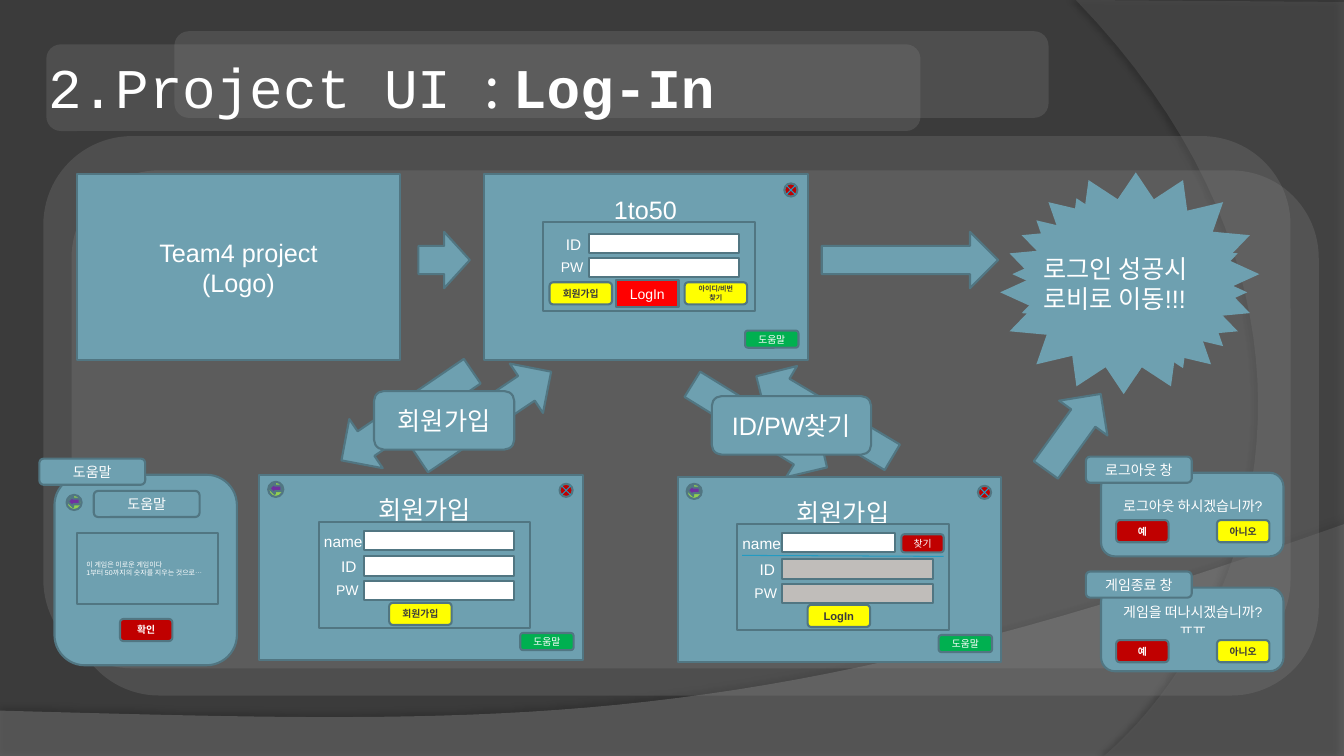
import pptx
import pptx.util
import pptx.oxml
import pptx.oxml.ns
from pptx.dml.color import RGBColor
from pptx.enum.shapes import MSO_SHAPE as KIND, MSO_CONNECTOR
from pptx.enum.text import PP_ALIGN, MSO_ANCHOR, MSO_AUTO_SIZE
from pptx.util import Inches

THEME = {
    "back": "3B3B3B", "blue": "6EA0B0", "edge": "517682", "cross": "239BC2",
    "white": "FFFFFF", "dark": "3B3B3B", "yellow": "FFFF00", "green": "00B050",
    "wine": "C00000", "red": "FF0000", "gray": "C0BDBA", "lime": "92D050",
    "plum": "7030A0", "glass": "898989", "hill": "7F7F7F", "curve": "5E5E5E",
    "font": "Arial", "mono": "Courier New", "asian": "Noto Sans CJK KR",
    "title": 40, "head": 18, "label": 11, "body": 10, "login": 8, "small": 7, "tiny": 5,
}

# Background sweeps: start, then line ends (2 values) or Bezier curves (6 values)
SWEEPS = [
    ("hill", 45, (3.5, 270, 35),
     [(0, 7.05), (0, 7.51), (13.33, 7.51), (13.33, 5.2), (7.45, 7.29, 5.21, 7.19, 0, 7.05)]),
    ("curve", 40, (4, 180, 45),
     [(13.33, 0.02), (13.33, 7.5), (10.95, 7.5), (12.46, 6.19, 13.57, 3, 10.67, 0)]),
]
PANES = [(1.73, 0.31, 8.67, 0.86), (0.46, 0.44, 8.67, 0.86),
         (0.43, 1.35, 12.37, 5.28), (0.71, 1.69, 12.37, 5.21)]
TITLE = [("2.Project UI ", "mono", False), (": ", "asian", False), ("Log-In", "mono", True)]

# Label: left, width, type size, all from the window's left edge
LABELS = {"name": (0.54, 0.59, "label"), "ID": (0.71, 0.36, "label"), "PW": (0.66, 0.43, "body")}
# Button: left, top, width, height, fill, text, size, text colour, bold
JOIN = (1.29, 1.27, 0.62, 0.22, "yellow")
WINDOWS = [
    {"at": (4.8, 1.73), "title": "1to50", "mid": 1.6, "deep": 0.89, "help": 1.55, "back": False,
     "fields": [("ID", 0.59, 1.49, "white"), ("PW", 0.83, 1.49, "white")],
     "keys": [(0.65, 1.07, 0.62, 0.22, "yellow", "회원가입", "small", "dark", True),
              (1.99, 1.07, 0.62, 0.22, "yellow", "아이디/비번 찾기", "tiny", "dark", True)]},
    {"at": (2.57, 4.71), "title": "회원가입", "mid": 1.64, "deep": 1.05, "help": 1.57, "back": True,
     "fields": [("name", 0.56, 1.49, "white"), ("ID", 0.81, 1.49, "white"),
                ("PW", 1.05, 1.49, "white")],
     "keys": [JOIN + ("회원가입", "small", "dark", True)]},
    {"at": (6.72, 4.73), "title": "회원가입", "mid": 1.64, "deep": 1.05, "help": 1.57, "back": True,
     "fields": [("name", 0.56, 1.12, "white"), ("ID", 0.82, 1.49, "gray"),
                ("PW", 1.06, 1.49, "gray")],
     "keys": [JOIN + ("LogIn", "login", "dark", True),
              (2.22, 0.57, 0.42, 0.18, "wine", "찾기", "small", "white", False)]},
]
# Turned arrows: left, top, height, angle
TURNS = [(3.74, 3.34, 1.57, 55.7), (4.52, 3.34, 1.57, 236.1), (7.24, 3.44, 1.57, 301.7),
         (7.88, 3.35, 1.57, 120.8), (10.35, 3.82, 0.93, 215.8)]
STEPS = [(3.71, 3.88, 1.39, "회원가입"), (7.06, 3.93, 1.58, "ID/PW찾기")]
ASKS = [(4.69, "로그아웃 창", "로그아웃 하시겠습니까?", 0.47),
        (5.83, "게임종료 창", "게임을 떠나시겠습니까?ㅠㅠ", 0.52)]
HELP = ["이 게임은 이로운 게임이다", "1부터 50까지의 숫자를 지우는 것으로…"]
GOAL = ["로그인 성공시", "로비로 이동!!!"]

deck = pptx.Presentation()
deck.slide_width, deck.slide_height = Inches(13.33), Inches(7.5)
slide = deck.slides.add_slide(deck.slide_layouts[6])
shapes = slide.shapes


def tint(name):
    """Give a theme colour as RGB."""
    return RGBColor.from_string(THEME[name])


def apply(thing, form):
    """Set each attribute named in a dict."""
    for key, value in form.items():
        setattr(thing, key, value)


def add_run(para, text, size, color="white", bold=False, font="font"):
    """Add one run of styled text."""
    run = para.add_run()
    run.text = text
    apply(run.font, {"size": pptx.util.Pt(THEME[size]), "bold": bold, "name": THEME[font]})
    run.font.color.rgb = tint(color)
    asian = run.font._element.makeelement(pptx.oxml.ns.qn("a:ea"), {"typeface": THEME["asian"]})
    run.font._element.append(asian)


def write(shape, lines, size, color="white", bold=False, align=PP_ALIGN.CENTER):
    """Fill a shape with one paragraph per line."""
    frame = shape.text_frame
    for num, line in enumerate(lines):
        para = frame.add_paragraph() if num else frame.paragraphs[0]
        para.alignment = align
        add_run(para, line, size, color, bold)


def paint(shape, fill, alpha=None, edge=True):
    """Set fill, outline and opacity."""
    shape.shadow.inherit = False
    shape.fill.solid()
    shape.fill.fore_color.rgb = tint(fill)
    if alpha:
        node = shape._element.spPr.find(".//" + pptx.oxml.ns.qn("a:srgbClr"))
        node.append(node.makeelement(pptx.oxml.ns.qn("a:alpha"), {"val": str(alpha * 1000)}))
    if edge:
        shape.line.color.rgb = tint("edge")
        shape.line.width = pptx.util.Pt(1.5)
    else:
        shape.line.fill.background()


def box(kind, x, y, w, h, fill="blue", text=None, size="body", color="white", bold=False,
        alpha=None, edge=True, align=PP_ALIGN.CENTER):
    """Draw a preset shape, with text if given."""
    shape = shapes.add_shape(kind, *map(Inches, (x, y, w, h)))
    paint(shape, fill, alpha, edge)
    if text:
        lines = [text] if isinstance(text, str) else text
        write(shape, lines, size, color, bold, align)
    return shape


def note(x, y, w, h, lines, size, align=PP_ALIGN.CENTER):
    """Draw a text box that does not wrap."""
    shape = shapes.add_textbox(*map(Inches, (x, y, w, h)))
    apply(shape.text_frame, {"word_wrap": False, "auto_size": MSO_AUTO_SIZE.SHAPE_TO_FIT_TEXT})
    write(shape, lines, size, align=align)


def line(*ends):
    """Draw a thin straight line."""
    link = shapes.add_connector(MSO_CONNECTOR.STRAIGHT, *map(Inches, ends))
    link.line.color.rgb = tint("cross")
    link.line.width = pptx.util.Pt(0.75)
    spot = link._element.spPr
    spot.append(spot.makeelement(pptx.oxml.ns.qn("a:effectLst"), {}))


def sweep(fill, alpha, shade, steps, parts=40):
    """Draw a curved background shape with a soft shadow."""
    spots = [steps[0]]
    for step in steps[1:]:
        if len(step) == 2:
            spots.append(step)
            continue
        hooks = [spots[-1], step[:2], step[2:4], step[4:]]
        for num in range(1, parts + 1):
            t = num / parts
            mix = ((1 - t) ** 3, 3 * t * (1 - t) ** 2, 3 * t * t * (1 - t), t ** 3)
            spots.append(tuple(sum(m * p[k] for m, p in zip(mix, hooks)) for k in (0, 1)))
    spots = [(Inches(x), Inches(y)) for x, y in spots]
    form = shapes.build_freeform(*spots[0])
    form.add_line_segments(spots[1:], close=True)
    shape = form.convert_to_shape()
    paint(shape, fill, alpha, edge=False)
    gap, turn, dense = shade
    glow = pptx.oxml.parse_xml(
        f'<a:outerShdw {pptx.oxml.ns.nsdecls("a")} blurRad="50800" dist="{int(gap * 12700)}" '
        f'dir="{turn * 60000}" rotWithShape="0"><a:srgbClr val="000000">'
        f'<a:alpha val="{dense * 1000}"/></a:srgbClr></a:outerShdw>')
    shape._element.spPr.find(pptx.oxml.ns.qn("a:effectLst")).append(glow)


def back_icon(x, y):
    """Draw the round back button."""
    box(KIND.OVAL, x, y, 0.15, 0.15, "lime")
    box(KIND.LEFT_ARROW, x + 0.01, y + 0.01, 0.12, 0.11, "plum")


def window(at, title, mid, deep, help, back, fields, keys):
    """Draw one form window."""
    x, y = at
    box(KIND.RECTANGLE, x, y, 3.21, 1.84)
    note(x + mid - 0.66, y + 0.15, 1.32, 0.4, [title], "head")
    box(KIND.RECTANGLE, x + 0.59, y + 0.47, 2.1, deep)
    for name, dy, wide, fill in fields:
        box(KIND.RECTANGLE, x + 1.04, y + dy, wide, 0.19, fill)
        left, span, size = LABELS[name]
        note(x + left, y + dy - 0.04, span, 0.28, [name], size)
    box(KIND.OVAL, x + 2.98, y + 0.09, 0.13, 0.13, "wine")
    for top, end in ((0.11, 0.2), (0.2, 0.11)):
        line(x + 3, y + top, x + 3.09, y + end)
    for dx, dy, *rest in keys:
        box(KIND.ROUNDED_RECTANGLE, x + dx, y + dy, *rest)
    box(KIND.ROUNDED_RECTANGLE, x + 2.59, y + help, 0.53, 0.17, "green", "도움말", "small")
    if back:
        back_icon(x + 0.09, y + 0.07)


def ask(y, tab, text, drop, x=10.92):
    """Draw a yes or no dialog."""
    box(KIND.ROUNDED_RECTANGLE, x, y, 1.81, 0.83)
    box(KIND.ROUNDED_RECTANGLE, x - 0.15, y - 0.16, 1.05, 0.26, text=tab)
    box(KIND.RECTANGLE, x + 0.07, y + 0.18, 1.68, 0.29, text=text, edge=False)
    for dx, fill, word, color in ((0.15, "wine", "예", "white"), (1.15, "yellow", "아니오", "dark")):
        box(KIND.ROUNDED_RECTANGLE, x + dx, y + drop, 0.52, 0.22, fill, word, "small", color, True)


slide.background.fill.solid()
slide.background.fill.fore_color.rgb = tint("back")
for item in SWEEPS:
    sweep(*item)
for pane in PANES:
    box(KIND.ROUNDED_RECTANGLE, *pane, "glass", alpha=25, edge=False)

head = shapes.add_textbox(*map(Inches, (0.43, 0.58, 7.74, 0.55)))
sides = ("margin_left", "margin_right", "margin_top", "margin_bottom")
apply(head.text_frame, {"word_wrap": True, "vertical_anchor": MSO_ANCHOR.MIDDLE,
                        **dict.fromkeys(sides, Inches(0.05))})
for text, font, bold in TITLE:
    add_run(head.text_frame.paragraphs[0], text, "title", bold=bold, font=font)

box(KIND.RECTANGLE, 0.76, 1.73, 3.21, 1.84, text=["Team4 project", "(Logo)"], size="head")
for x, wide in ((4.15, 0.51), (8.15, 1.75)):
    box(KIND.RIGHT_ARROW, x, 2.3, wide, 0.56)
for x, y in ((9.92, 1.89), (10.04, 1.71)):
    box(KIND.STAR_16_POINT, x, y, 2.45, 2.02, edge=False)
note(10.25, 2.46, 1.79, 0.71, GOAL, "head", PP_ALIGN.LEFT)
for x, y, high, turn in TURNS:
    box(KIND.DOWN_ARROW, x, y, 0.59, high).rotation = turn
for x, y, wide, text in STEPS:
    box(KIND.ROUNDED_RECTANGLE, x, y, wide, 0.58, text=text, size="head")
for form in WINDOWS:
    window(**form)
box(KIND.RECTANGLE, 6.11, 2.78, 0.62, 0.27, "red", "LogIn")
line(7.36, 5.51, 9.36, 5.52)

box(KIND.ROUNDED_RECTANGLE, 0.54, 4.71, 1.81, 1.89)
for x, y in ((0.39, 4.55), (0.93, 4.87)):
    box(KIND.ROUNDED_RECTANGLE, x, y, 1.05, 0.26, text="도움말")
box(KIND.ROUNDED_RECTANGLE, 1.19, 6.14, 0.52, 0.22, "wine", "확인", "small", bold=True)
box(KIND.RECTANGLE, 0.76, 5.29, 1.4, 0.7, text=HELP, size="tiny", align=PP_ALIGN.JUSTIFY)
back_icon(0.66, 4.91)
for item in ASKS:
    ask(*item)

deck.save("out.pptx")
